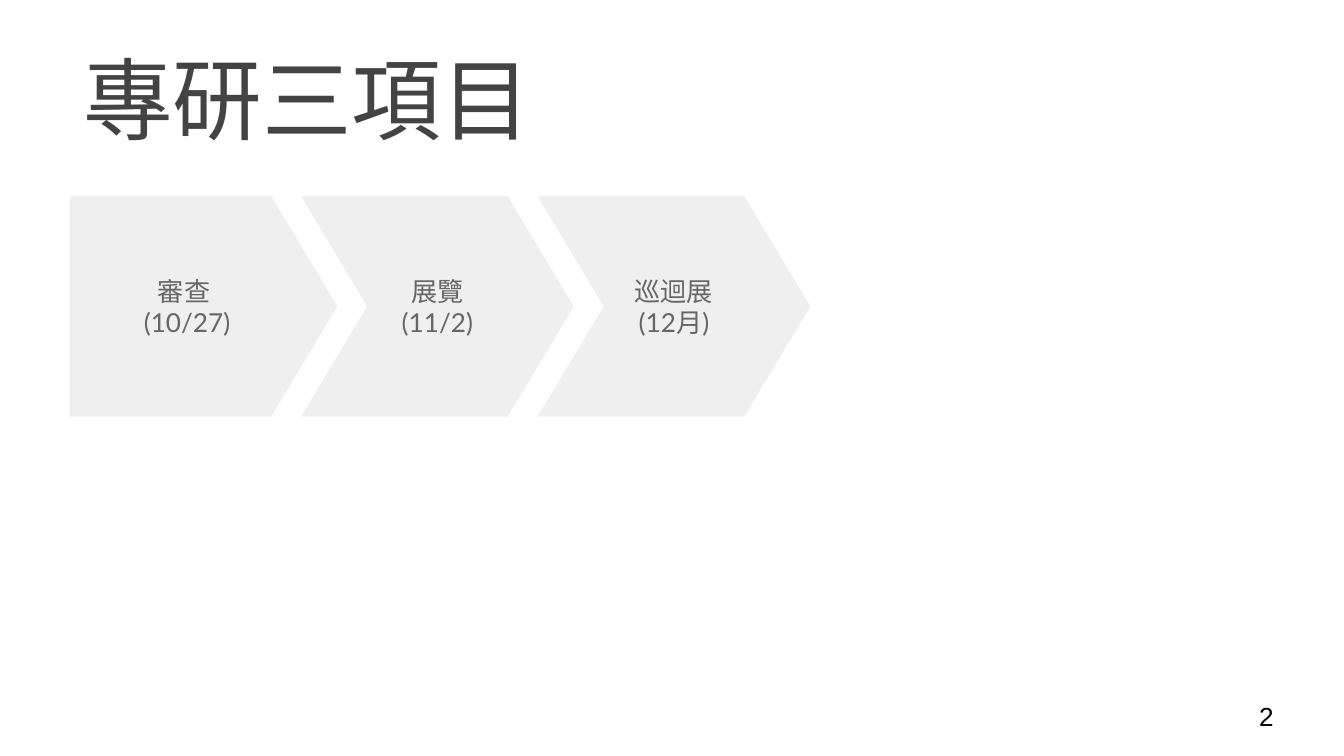
from pptx import Presentation
from pptx.dml.color import RGBColor
from pptx.enum.shapes import MSO_SHAPE
from pptx.enum.text import MSO_ANCHOR, PP_ALIGN
from pptx.util import Inches, Pt

DARK = RGBColor(0x43, 0x43, 0x43)
GREY = RGBColor(0x66, 0x66, 0x66)
PALE = RGBColor(0xEF, 0xEF, 0xEF)
BLACK = RGBColor(0, 0, 0)

STEPS = [["審查 ", "(10/27)"], ["展覽 (11/2)"], ["巡迴展", "(12月)"]]


def write(shape, lines, size, color, anchor, align=PP_ALIGN.LEFT, font="Lato"):
    frame = shape.text_frame
    form = {"word_wrap": True, "vertical_anchor": anchor}
    for side in ("left", "top", "right", "bottom"):
        form[f"margin_{side}"] = Inches(0.1)
    for name, value in form.items():
        setattr(frame, name, value)
    frame.text = "\n".join(lines)
    for para in frame.paragraphs:
        para.alignment = align
        for run in para.runs:
            for name, value in {"name": font, "size": Pt(size)}.items():
                setattr(run.font, name, value)
            run.font.color.rgb = color


def add_label(slide, box, text, size, color, anchor, font="Lato"):
    label = slide.shapes.add_textbox(*map(Inches, box))
    write(label, [text], size, color, anchor, font=font)


def add_steps(slide, box, steps):
    """Draw a flat-backed arrow, then chevrons whose tips are evenly spaced."""
    left, top, width, height = box
    first, wide = 1.99, 2.03
    pitch = (width - first) / (len(steps) - 1)
    for i, lines in enumerate(steps):
        kind = MSO_SHAPE.CHEVRON if i else MSO_SHAPE.PENTAGON
        span = wide if i else first
        start = left + first + i * pitch - span
        arrow = slide.shapes.add_shape(
            kind, Inches(start), Inches(top), Inches(span), Inches(height))
        arrow.adjustments[0] = 0.3
        arrow.shadow.inherit = False
        arrow.fill.solid()
        arrow.fill.fore_color.rgb = PALE
        arrow.line.fill.background()
        write(arrow, lines, 14, GREY, MSO_ANCHOR.MIDDLE, PP_ALIGN.CENTER)


def main():
    deck = Presentation()
    # 16:9 page
    deck.slide_width = Inches(10)
    deck.slide_height = Inches(10 * 9 / 16)
    slide = deck.slides.add_slide(deck.slide_layouts[6])
    add_label(slide, (0.52, 0.29, 6.03, 0.94), "專研三項目", 48, DARK,
              MSO_ANCHOR.BOTTOM)
    add_steps(slide, (0.52, 1.46, 5.51, 1.64), STEPS)
    add_label(slide, (9.27, 5.11, 0.6, 0.43), "2", 14, BLACK,
              MSO_ANCHOR.MIDDLE, "Arial")
    deck.save("out.pptx")


if __name__ == "__main__":
    main()
